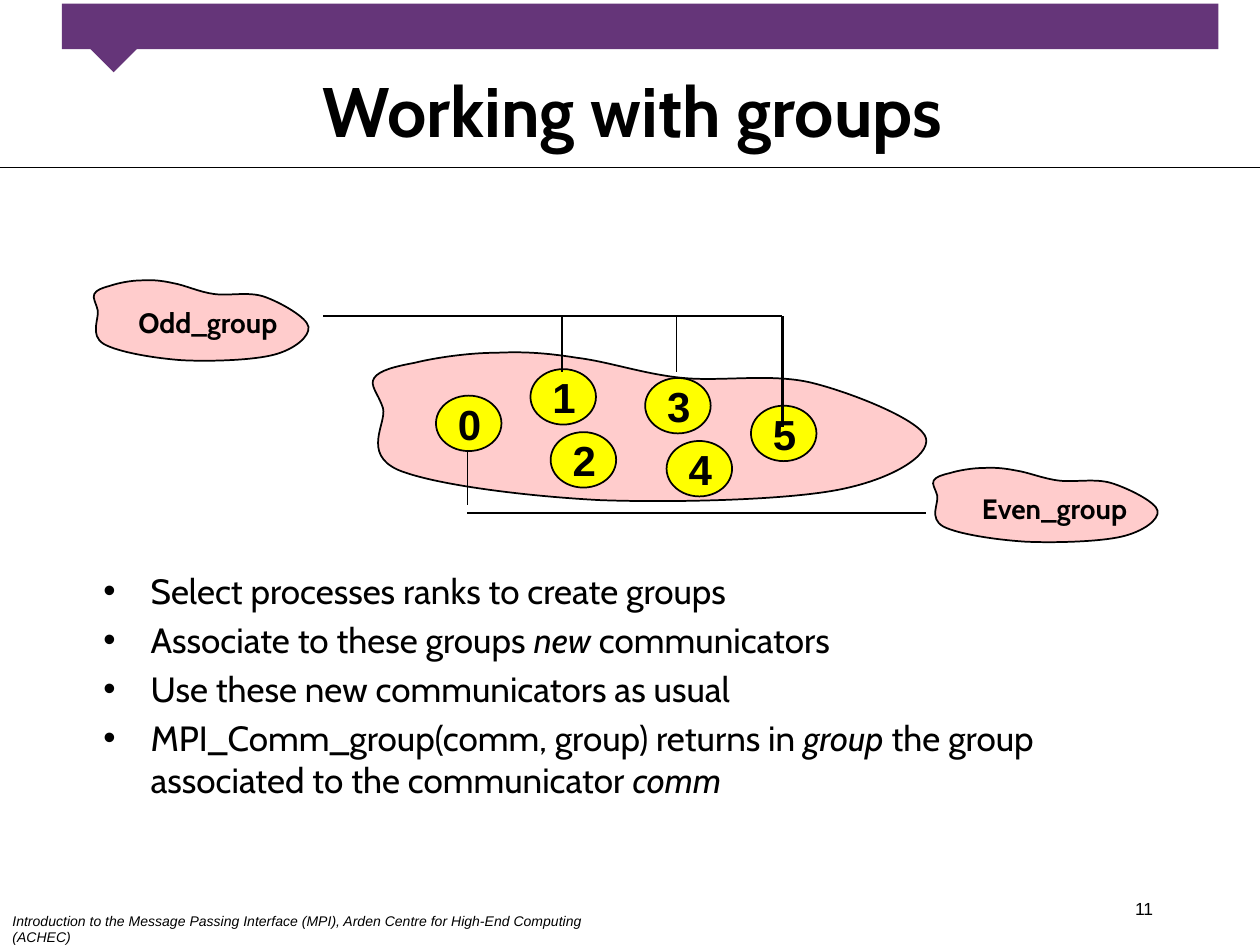
from lxml import etree
from pptx import Presentation
from pptx.dml.color import RGBColor
from pptx.enum import shapes, text
from pptx.oxml.ns import qn
from pptx.util import Inches, Pt

BLACK = RGBColor(0x00, 0x00, 0x00)
PURPLE = RGBColor(0x65, 0x35, 0x79)
PINK = RGBColor(0xFF, 0xCC, 0xCC)
YELLOW = RGBColor(0xFF, 0xFF, 0x00)
CENTER, RIGHT = text.PP_ALIGN.CENTER, text.PP_ALIGN.RIGHT

# Closed Bezier outline: a start point, then three points per curve,
# within a frame given as left, top, width, height
FRAME = (2.87, 2.79, 4.51, 1.2)
OUTLINE = [
    (3.29, 2.88),
    (3.45, 2.84), (3.72, 2.8), (3.94, 2.8),
    (4.15, 2.79), (4.33, 2.8), (4.58, 2.84),
    (4.83, 2.87), (5.11, 2.97), (5.42, 3),
    (5.73, 3.03), (6.13, 2.96), (6.45, 3.04),
    (6.77, 3.12), (7.32, 3.34), (7.35, 3.48),
    (7.38, 3.62), (7.07, 3.81), (6.64, 3.89),
    (6.21, 3.97), (5.35, 3.99), (4.77, 3.97),
    (4.19, 3.94), (3.45, 3.85), (3.16, 3.73),
    (2.87, 3.6), (3.07, 3.36), (3.04, 3.24),
    (3, 3.12), (2.93, 3.06), (2.97, 3),
    (3.01, 2.94), (3.13, 2.91), (3.29, 2.88),
]


def write(p, words, align=None, **font):
    """Add one run to a paragraph and format it."""
    r = p.add_run()
    r.text = words
    if align is not None:
        p.alignment = align
    r.font.color.rgb = BLACK
    for name, value in font.items():
        setattr(r.font, name, value)


def paint(sp, fill, outlined=True):
    sp.shadow.inherit = False
    sp.fill.solid()
    sp.fill.fore_color.rgb = fill
    if outlined:
        sp.line.color.rgb = BLACK
        sp.line.width = Pt(1)
    else:
        sp.line.fill.background()


prs = Presentation()
prs.slide_width, prs.slide_height = Inches(10), Inches(7.5)
s = prs.slides.add_slide(prs.slide_layouts[1])

# Header band with its pointer
for box, angle in [((0.49, 0.03, 9.18, 0.36), 0), ((0.77, 0.12, 0.32, 0.4), 45)]:
    sp = s.shapes.add_shape(shapes.MSO_SHAPE.RECTANGLE, *map(Inches, box))
    sp.rotation = angle
    paint(sp, PURPLE, outlined=False)

# Title and bullet list
title, body = s.shapes.title, s.placeholders[1]
for sp, box in [(title, (0.77, 0.54, 8.5, 0.66)), (body, (0.72, 4.47, 8.5, 2.12))]:
    sp.left, sp.top, sp.width, sp.height = map(Inches, box)
    sp.text_frame.auto_size = text.MSO_AUTO_SIZE.NONE
title.text_frame.vertical_anchor = text.MSO_ANCHOR.MIDDLE
write(title.text_frame.paragraphs[0], "Working with groups", CENTER,
      name="Cabin", size=Pt(40), bold=True)

# Every second piece of a bullet is italic
bullets = [
    ["Select processes ranks to create groups"],
    ["Associate to these groups ", "new", " communicators"],
    ["Use these new communicators as usual"],
    ["MPI_Comm_group(comm, group) returns in ", "group",
     " the group associated to the communicator ", "comm"],
]
indent = Inches(3 / 8)
tf = body.text_frame
for i, pieces in enumerate(bullets):
    p = tf.add_paragraph() if i else tf.paragraphs[0]
    p.space_before = Pt(4 if i else 0)
    pPr = p._p.get_or_add_pPr()
    pPr.set("marL", str(indent))
    pPr.set("indent", str(-indent))
    etree.SubElement(pPr, qn("a:buChar")).set("char", "•")
    for j, piece in enumerate(pieces):
        write(p, piece, name="Cabin", size=Pt(20), italic=j % 2 == 1)

# Blobs: all processes, odd group, even group
for left, top, width, height in [FRAME, (0.71, 2.22, 1.75, 0.65), (7.37, 3.71, 1.83, 0.6)]:
    points = [(Inches(left + (x - FRAME[0]) / FRAME[2] * width),
               Inches(top + (y - FRAME[1]) / FRAME[3] * height)) for x, y in OUTLINE]
    builder = s.shapes.build_freeform(*points[0])
    builder.add_line_segments(points[1:], close=True)
    sp = builder.convert_to_shape()
    paint(sp, PINK)
    # Join each three straight segments into one curve
    segments = list(sp._element.iter(qn("a:lnTo")))
    for k in range(0, len(segments), 3):
        curve = etree.Element(qn("a:cubicBezTo"))
        segments[k].addprevious(curve)
        for segment in segments[k:k + 3]:
            curve.append(segment[0])
            segment.getparent().remove(segment)

# Process ranks
ranks = [(3.46, 3.14), (4.21, 2.93), (4.37, 3.43), (5.12, 3), (5.29, 3.5), (5.96, 3.22)]
for rank, (x, y) in enumerate(ranks):
    sp = s.shapes.add_shape(shapes.MSO_SHAPE.OVAL, Inches(x), Inches(y),
                            Inches(0.52), Inches(0.44))
    paint(sp, YELLOW)
    sp.text_frame.vertical_anchor = text.MSO_ANCHOR.MIDDLE
    write(sp.text_frame.paragraphs[0], str(rank), CENTER,
          name="Arial", size=Pt(24), bold=True)

# Title rule, then the odd and even group lines; ranks 2 and 4 have mere stubs
lines = [
    (0, 1.33, 10, 1.33, 0.75),
    (4.46, 2.51, 4.46, 2.95, 1),
    (5.37, 2.51, 5.37, 2.95, 1),
    (6.21, 2.51, 6.21, 3.39, 1.5),
    (6.21, 2.51, 2.56, 2.51, 1),
    (3.71, 3.57, 3.71, 4.01, 1),
    (4.62, 3.85, 4.62, 3.85, 1),
    (5.54, 3.92, 5.54, 3.92, 1),
    (3.71, 4.07, 7.35, 4.07, 1),
]
for *ends, weight in lines:
    line = s.shapes.add_connector(shapes.MSO_CONNECTOR.STRAIGHT, *map(Inches, ends))
    line.line.color.rgb = BLACK
    line.line.width = Pt(weight)
    etree.SubElement(line._element.spPr, qn("a:effectLst"))

# Group labels, footer and page number
group_font = dict(name="Cabin", size=Pt(16), bold=True)
footer = ("Introduction to the Message Passing Interface (MPI), "
          "Arden Centre for High-End Computing (ACHEC)")
labels = [
    ((0.87, 2.38, 1.56, 0.44), "Odd_group", CENTER, group_font),
    ((7.55, 3.85, 1.64, 0.41), "Even_group", CENTER, group_font),
    ((0, 7.19, 5.15, 0.24), footer, None, dict(name="Arial", size=Pt(8), italic=True)),
    ((7.17, 7.08, 2.08, 0.25), "11", RIGHT, dict(name="Arial", size=Pt(10))),
]
for box, words, align, font in labels:
    tf = s.shapes.add_textbox(*map(Inches, box)).text_frame
    tf.word_wrap = True
    write(tf.paragraphs[0], words, align, **font)

prs.save("out.pptx")
